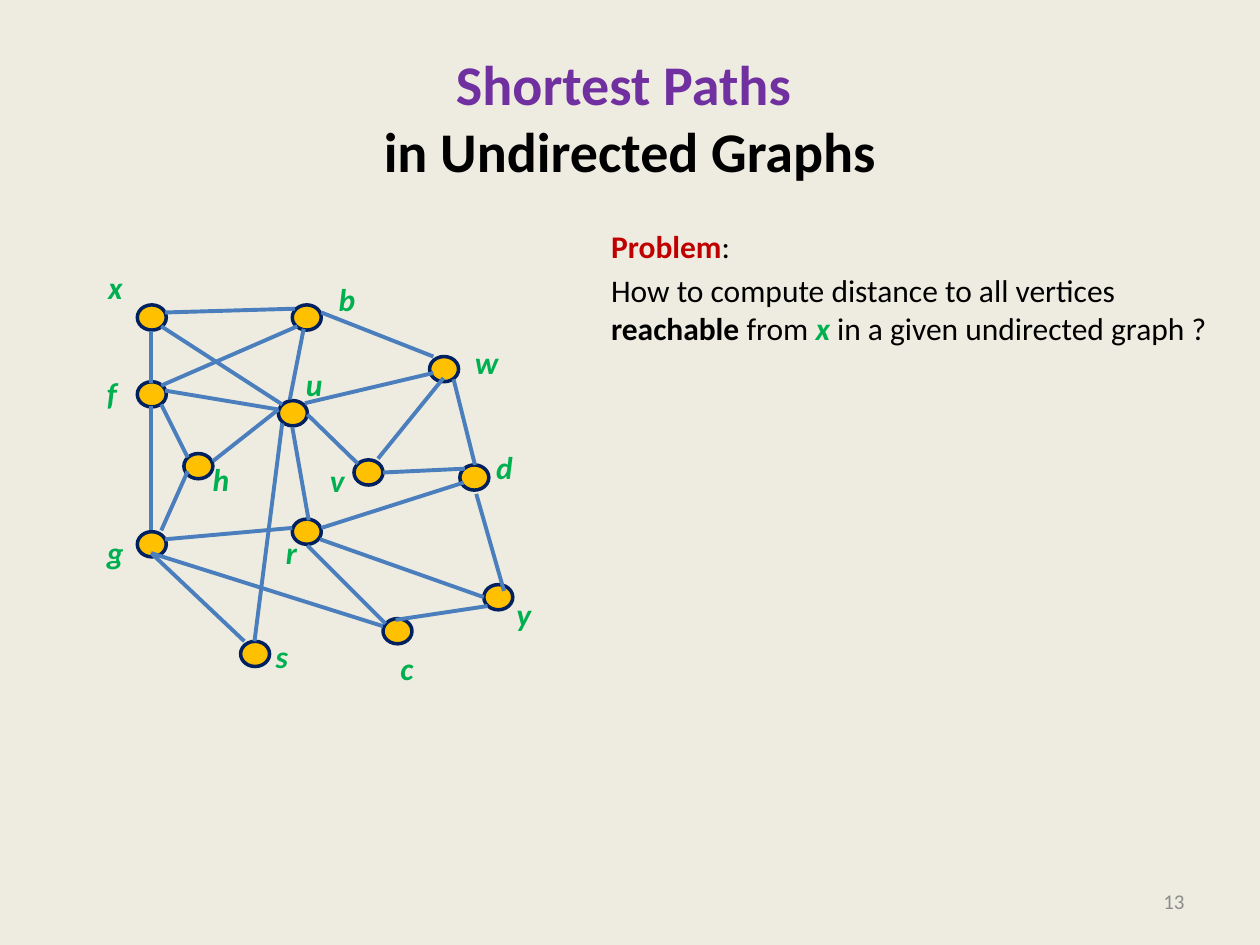
from copy import deepcopy

from lxml.etree import SubElement
from pptx import Presentation
from pptx.dml.color import RGBColor
from pptx.enum.shapes import MSO_CONNECTOR as CONNECTOR, MSO_SHAPE as SHAPE
from pptx.enum.text import MSO_ANCHOR as ANCHOR, MSO_AUTO_SIZE as AUTO_SIZE, PP_ALIGN as ALIGN
from pptx.oxml.ns import qn
from pptx.util import Pt

EMU_PER_PX = 9144
FONT = "Calibri"
COLORS = {
    "background": "EEECE1",
    "heading": "7030A0",
    "text": "000000",
    "problem": "C00000",
    "label": "00B050",
    "vertex": "FFC000",
    "outline": "002060",
    "edge": "4B7EBC",
    "number": "8C8C8C",
}

VERTEX_SIZE = (23, 20)
VERTICES = [
    (34, 34), (34, 95), (71, 152), (34, 214), (146, 110), (157, 204), (116, 301),
    (309, 256), (206, 157), (229, 283), (157, 34), (290, 161), (266, 75),
]
EDGES = [
    (56, 220, 157, 211), (56, 102, 146, 117), (56, 40, 159, 37), (45, 55, 45, 96),
    (167, 112, 269, 88), (119, 301, 45, 231), (45, 114, 45, 213), (157, 131, 170, 205),
    (180, 40, 269, 75), (302, 161, 285, 93), (180, 211, 293, 175), (239, 284, 312, 273),
    (53, 113, 74, 155), (303, 184, 325, 261), (149, 128, 127, 301), (169, 225, 231, 287),
    (229, 167, 294, 164), (146, 117, 94, 158), (53, 213, 74, 166), (225, 156, 277, 92),
    (45, 231, 229, 289), (166, 53, 155, 109), (309, 266, 179, 220), (53, 51, 149, 113),
    (161, 51, 53, 98), (169, 121, 209, 160),
]
LABEL_HEIGHT = 40
LABELS = [
    ("y", 325, 259, 32), ("b", 184, 9, 34), ("c", 233, 302, 31), ("d", 309, 143, 34),
    ("x", 1, 0, 32), ("f", 0, 84, 28), ("g", 0, 210, 34), ("h", 84, 152, 34),
    ("u", 158, 77, 34), ("w", 292, 59, 39), ("v", 177, 153, 32), ("r", 142, 210, 29),
    ("s", 134, 293, 30),
]
PROBLEM = [
    [("Problem", "problem", True, False), (":", "text", False, False)],
    [
        ("How to compute distance to all vertices ", "text", False, False),
        ("reachable", "text", True, False),
        (" from ", "text", False, False),
        ("x ", "label", True, True),
        ("in a given undirected graph ?", "text", False, False),
    ],
]


def px(*lengths):
    """Turn pixel lengths into a list of EMU."""
    return [length * EMU_PER_PX for length in lengths]


def color(name):
    """Return the named colour."""
    return RGBColor.from_string(COLORS[name])


def format_run(run, size, color_name, bold=False, italic=False):
    """Apply font, size, colour and style to a run."""
    font = run.font
    font.name, font.size = FONT, Pt(size)
    font.bold, font.italic = bold, italic
    font.color.rgb = color(color_name)


def move(shape, box):
    """Place a shape in a pixel box."""
    shape.left, shape.top, shape.width, shape.height = px(*box)


def fill_title(title, box):
    """Write the two-line title in its placeholder."""
    move(title, box)
    title.text_frame.text = "Shortest Paths \vin Undirected Graphs"
    paragraph = title.text_frame.paragraphs[0]
    paragraph.alignment = ALIGN.CENTER
    for run, color_name in zip(paragraph.runs, ("heading", "text")):
        format_run(run, 32, color_name, bold=True)
    line_break = paragraph._p.find(qn("a:br"))
    line_break.append(deepcopy(paragraph.runs[0]._r.rPr))


def fill_problem(body, box):
    """Write the problem statement without bullets in the body placeholder."""
    move(body, box)
    frame = body.text_frame
    for index, parts in enumerate(PROBLEM):
        paragraph = frame.add_paragraph() if index else frame.paragraphs[0]
        properties = paragraph._p.get_or_add_pPr()
        properties.set("marL", "0")
        properties.set("indent", "0")
        SubElement(properties, qn("a:buNone"))
        for text, color_name, bold, italic in parts:
            run = paragraph.add_run()
            run.text = text
            format_run(run, 18, color_name, bold, italic)


def add_vertex(shapes, left, top):
    """Add one round vertex."""
    vertex = shapes.add_shape(SHAPE.OVAL, *px(left, top, *VERTEX_SIZE))
    vertex.shadow.inherit = False
    vertex.fill.solid()
    vertex.fill.fore_color.rgb = color("vertex")
    vertex.line.color.rgb = color("outline")
    vertex.line.width = Pt(2)


def add_edge(shapes, *ends):
    """Add one straight edge."""
    edge = shapes.add_connector(CONNECTOR.STRAIGHT, *px(*ends))
    edge.line.color.rgb = color("edge")
    edge.line.width = Pt(2.25)
    SubElement(edge._element.spPr, qn("a:effectLst"))


def add_label(shapes, text, left, top, width):
    """Add one vertex name."""
    frame = shapes.add_textbox(*px(left, top, width, LABEL_HEIGHT)).text_frame
    frame.word_wrap = False
    frame.auto_size = AUTO_SIZE.SHAPE_TO_FIT_TEXT
    frame.text = text
    format_run(frame.paragraphs[0].runs[0], 18, "label", bold=True, italic=True)


def add_graph(slide, left, top):
    """Draw the graph as a group whose corner is at the given point."""
    shapes = slide.shapes.add_group_shape().shapes
    for x, y in VERTICES:
        add_vertex(shapes, left + x, top + y)
    for x1, y1, x2, y2 in EDGES:
        add_edge(shapes, left + x1, top + y1, left + x2, top + y2)
    for text, x, y, width in LABELS:
        add_label(shapes, text, left + x, top + y, width)


def add_page_number(slide, box):
    """Write the page number in the corner."""
    frame = slide.shapes.add_textbox(*px(*box)).text_frame
    frame.word_wrap = True
    frame.vertical_anchor = ANCHOR.MIDDLE
    frame.text = "13"
    paragraph = frame.paragraphs[0]
    paragraph.alignment = ALIGN.RIGHT
    format_run(paragraph.runs[0], 12, "number")


def main():
    """Build and save the presentation."""
    presentation = Presentation()
    presentation.slide_width, presentation.slide_height = px(1000, 750)
    slide = presentation.slides.add_slide(presentation.slide_layouts[1])
    slide.background.fill.solid()
    slide.background.fill.fore_color.rgb = color("background")
    fill_title(slide.shapes.title, (50, 30, 900, 125))
    fill_problem(slide.placeholders[1], (475, 175, 508, 495))
    add_page_number(slide, (717, 695, 233, 40))
    add_graph(slide, 75, 208)
    presentation.save("out.pptx")


if __name__ == "__main__":
    main()
